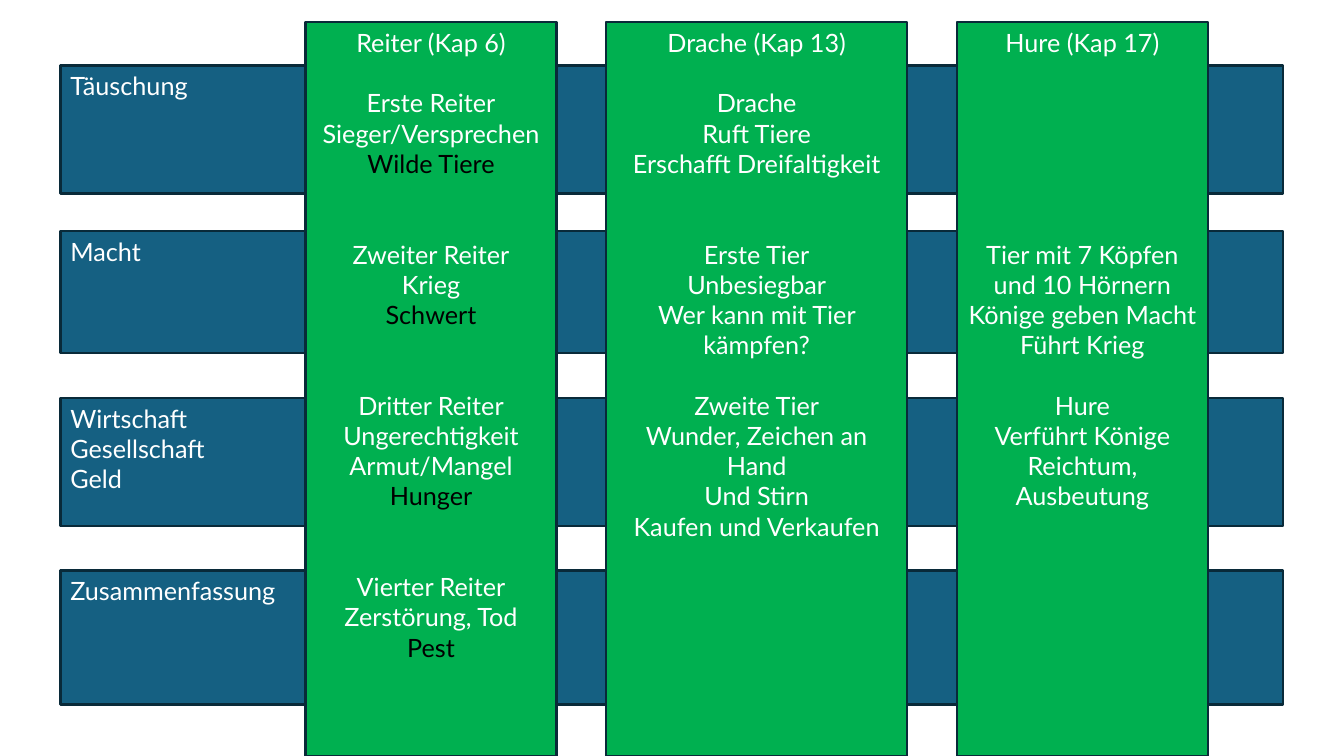
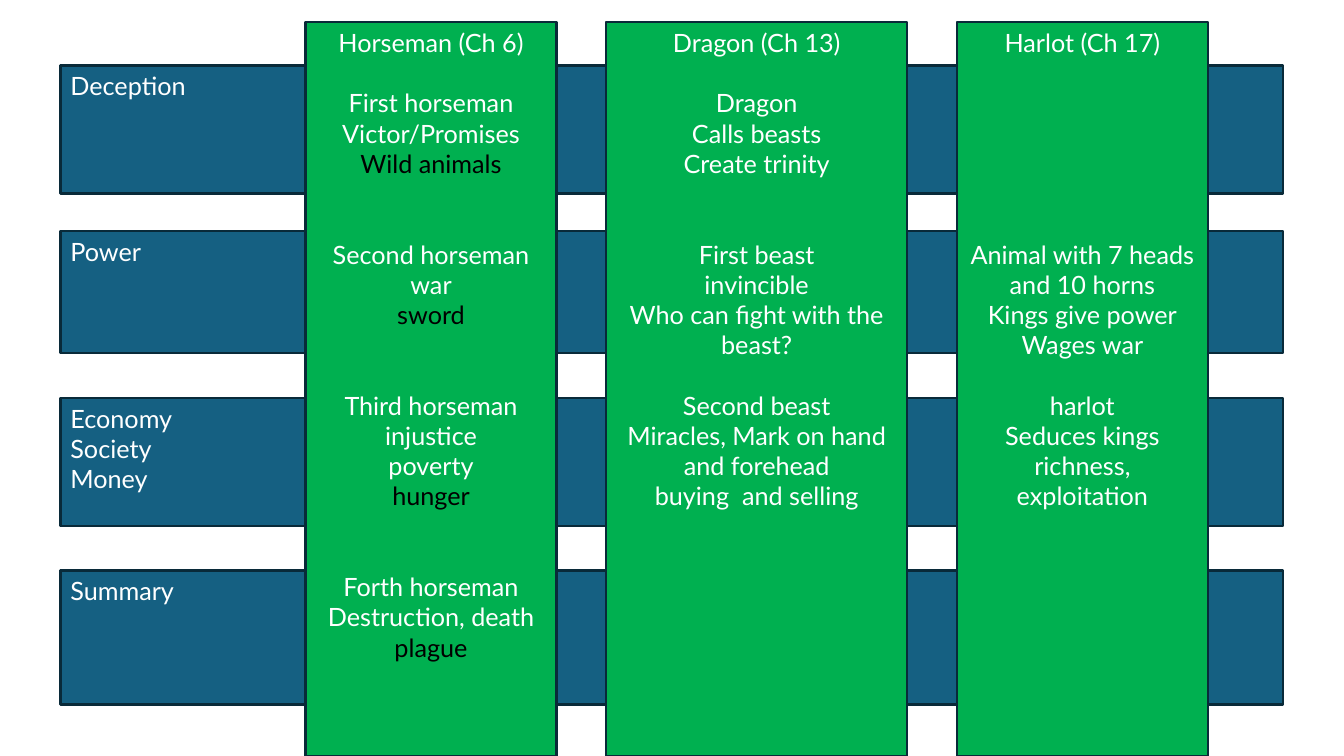
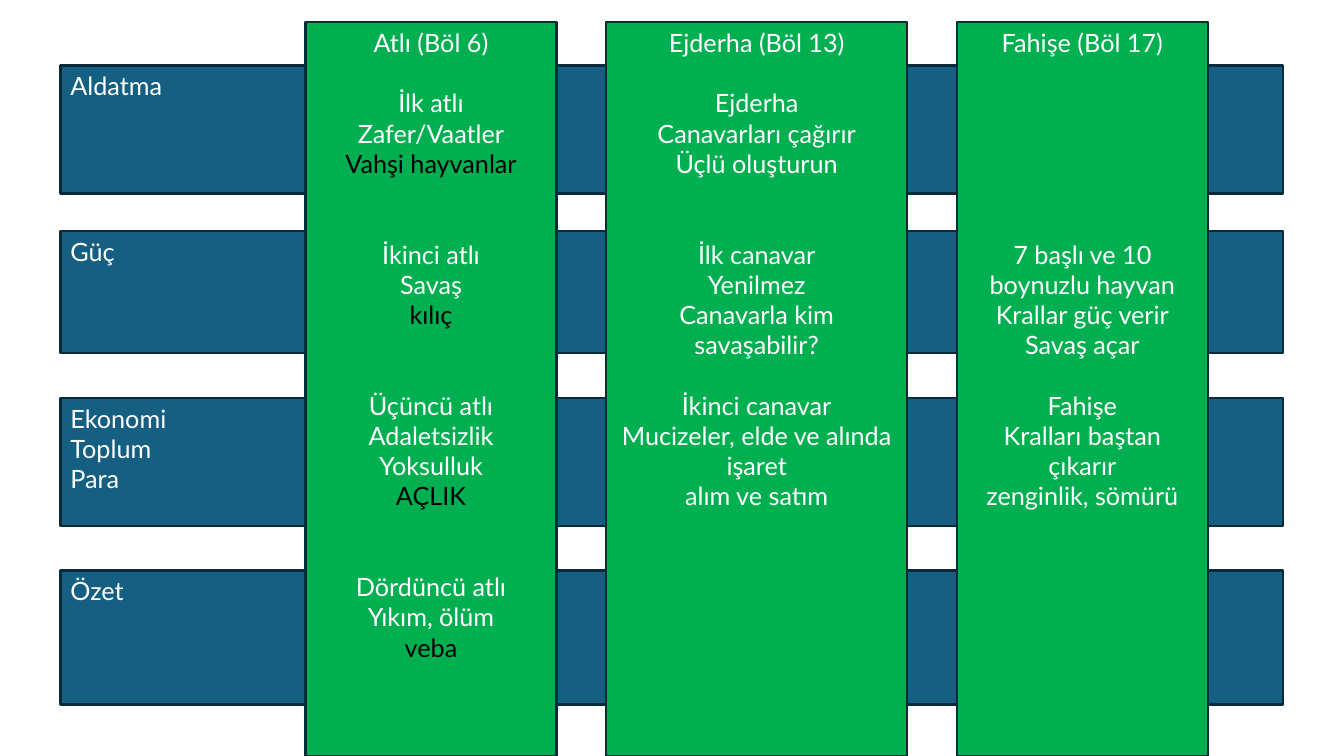
from pptx import Presentation
from pptx.dml.color import RGBColor
from pptx.enum.shapes import MSO_SHAPE
from pptx.enum.text import MSO_ANCHOR, PP_ALIGN
from pptx.util import Inches, Pt

RECT = MSO_SHAPE.RECTANGLE
TOP = MSO_ANCHOR.TOP
LEFT, CENTER = PP_ALIGN.LEFT, PP_ALIGN.CENTER

BLUE, GREEN, OUTLINE = "156082", "00B050", "092A39"
WHITE, BLACK = "FFFFFF", "000000"
FONT, SIZE, LINE_PITCH = "Lato", 18, 21.6

GRID = (0.6, 0.22, 12.13, 7.28)
BAND_ROWS = [(0.43, 1.27), (2.07, 1.21), (3.73, 1.27), (5.44, 1.33)]
COLUMN_START, COLUMN_GAP = 2.43, 0.49
COLUMN_WIDTHS = [2.49, 2.99, 2.49]
GROUP_GAPS = [(1, 2, 2, 2), (1, 2, 1), (6, 1)]

SLIDES = [
    {
        "bands": ["Täuschung", "Macht", "Wirtschaft\nGesellschaft\nGeld", "Zusammenfassung"],
        "columns": [
            ("Reiter (Kap 6)", [
                ["Erste Reiter", "Sieger/Versprechen", "Wilde Tiere"],
                ["Zweiter Reiter", "Krieg", "Schwert"],
                ["Dritter Reiter", "Ungerechtigkeit", "Armut/Mangel", "Hunger"],
                ["Vierter Reiter", "Zerstörung, Tod", "Pest"],
            ]),
            ("Drache (Kap 13)", [
                ["Drache", "Ruft Tiere", "Erschafft Dreifaltigkeit"],
                ["Erste Tier", "Unbesiegbar", "Wer kann mit Tier kämpfen?"],
                ["Zweite Tier", "Wunder, Zeichen an Hand", "Und Stirn", "Kaufen und Verkaufen"],
            ]),
            ("Hure (Kap 17)", [
                ["Tier mit 7 Köpfen und 10 Hörnern", "Könige geben Macht", "Führt Krieg"],
                ["Hure", "Verführt Könige", "Reichtum, Ausbeutung"],
            ]),
        ],
    },
    {
        "bands": ["Deception", "Power", "Economy\nSociety\nMoney", "Summary"],
        "columns": [
            ("Horseman (Ch 6)", [
                ["First horseman", "Victor/Promises", "Wild animals"],
                ["Second horseman", "war", "sword"],
                ["Third horseman", "injustice", "poverty", "hunger"],
                ["Forth horseman", "Destruction, death", "plague"],
            ]),
            ("Dragon (Ch 13)", [
                ["Dragon", "Calls beasts", "Create trinity"],
                ["First beast", "invincible", "Who can fight with the beast?"],
                ["Second beast", "Miracles, Mark on hand and forehead", "buying  and selling"],
            ]),
            ("Harlot (Ch 17)", [
                ["Animal with 7 heads and 10 horns", "Kings give power", "Wages war"],
                ["harlot", "Seduces kings", "richness, exploitation"],
            ]),
        ],
    },
    {
        "bands": ["Aldatma", "Güç", "Ekonomi\nToplum\nPara", "Özet"],
        "columns": [
            ("Atlı (Böl 6)", [
                ["İlk atlı", "Zafer/Vaatler", "Vahşi hayvanlar"],
                ["İkinci atlı", "Savaş", "kılıç"],
                ["Üçüncü atlı", "Adaletsizlik", "Yoksulluk", "AÇLIK"],
                ["Dördüncü atlı", "Yıkım, ölüm", "veba"],
            ]),
            ("Ejderha (Böl 13)", [
                ["Ejderha", "Canavarları çağırır", "Üçlü oluşturun"],
                ["İlk canavar", "Yenilmez", "Canavarla kim savaşabilir?"],
                ["İkinci canavar", "Mucizeler, elde ve alında işaret", "alım ve satım"],
            ]),
            ("Fahişe (Böl 17)", [
                ["7 başlı ve 10 boynuzlu hayvan", "Krallar güç verir", "Savaş açar"],
                ["Fahişe", "Kralları baştan çıkarır", "zenginlik, sömürü"],
            ]),
        ],
    },
]


def rgb(color):
    return RGBColor.from_string(color)


def add_panel(s, box, fill, text, align):
    sp = s.shapes.add_shape(RECT, *[Inches(v) for v in box])
    sp.shadow.inherit = False
    sp.fill.solid()
    sp.fill.fore_color.rgb = rgb(fill)
    sp.line.color.rgb = rgb(OUTLINE)
    sp.line.width = Pt(1.5)
    tf = sp.text_frame
    tf.word_wrap = True
    tf.vertical_anchor = TOP
    tf.text = text
    for p in tf.paragraphs:
        p.alignment = align
        for r in p.runs:
            r.font.name = FONT
            r.font.size = Pt(SIZE)
            r.font.color.rgb = rgb(WHITE)
    return tf


def add_bands(s, box, labels):
    left, top, width, _ = box
    for (offset, height), label in zip(BAND_ROWS, labels):
        add_panel(s, (left, top + offset, width, height), BLUE, label, LEFT)


def add_column(s, box, heading, groups, gaps, black_endings):
    lines = [heading] + [line for group in groups for line in group]
    tf = add_panel(s, box, GREEN, "\n".join(lines), CENTER)
    first = 1
    for group, gap in zip(groups, gaps):
        tf.paragraphs[first].space_before = Pt(gap * LINE_PITCH)
        first += len(group)
        if black_endings:
            tf.paragraphs[first - 1].runs[0].font.color.rgb = rgb(BLACK)


def add_columns(s, box, columns):
    left, top, _, height = box
    x = left + COLUMN_START
    for i, (heading, groups) in enumerate(columns):
        width = COLUMN_WIDTHS[i]
        add_column(s, (x, top, width, height), heading, groups, GROUP_GAPS[i], i == 0)
        x += width + COLUMN_GAP


def add_matrix_slide(prs, content):
    s = prs.slides.add_slide(prs.slide_layouts[6])
    add_bands(s, GRID, content["bands"])
    add_columns(s, GRID, content["columns"])


def main():
    prs = Presentation()
    prs.slide_width, prs.slide_height = Inches(13.33), Inches(7.5)
    for content in SLIDES:
        add_matrix_slide(prs, content)
    prs.save("out.pptx")


if __name__ == "__main__":
    main()
